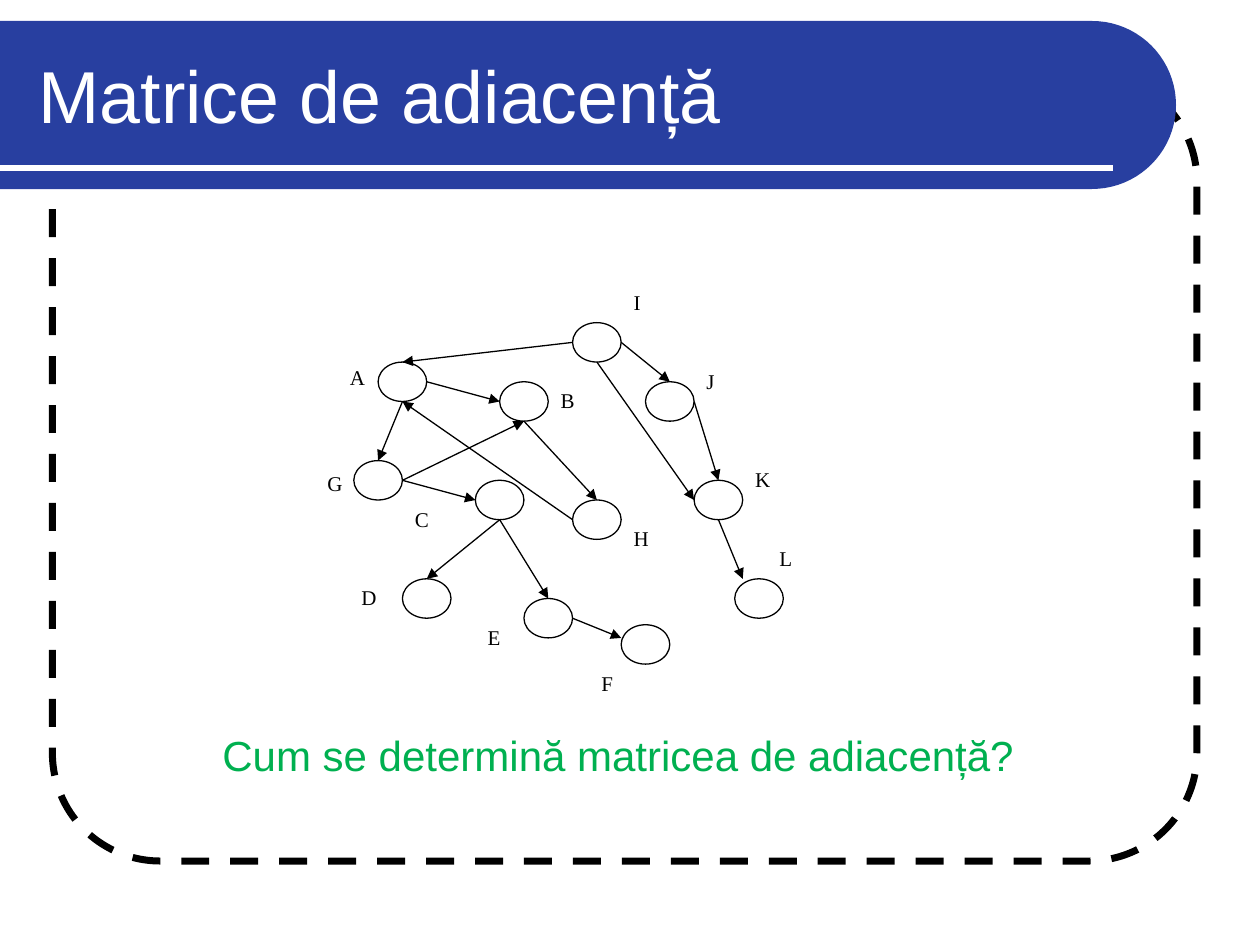
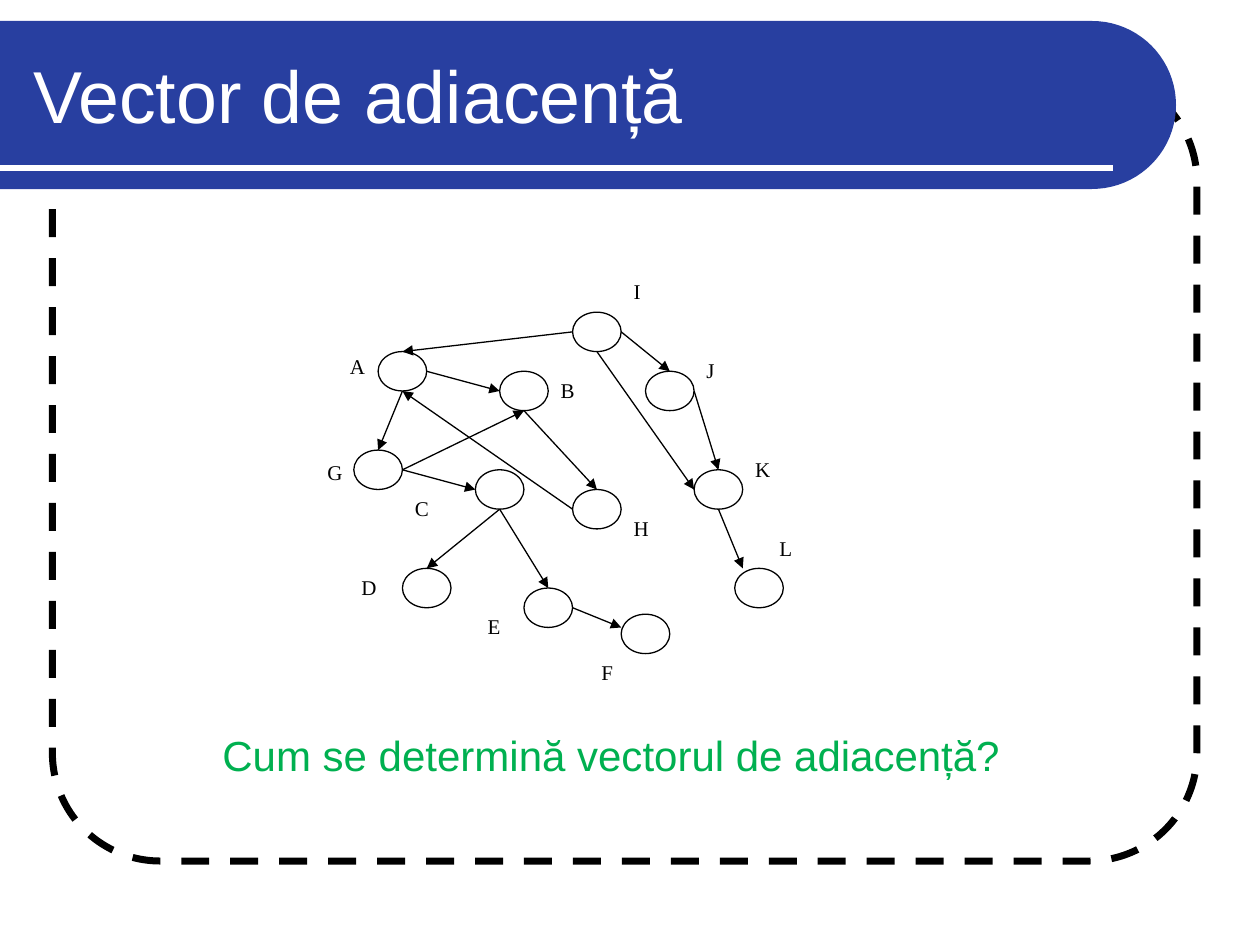
from dataclasses import dataclass
from math import cos, floor, pi, sin

from pptx import Presentation
from pptx.dml.color import RGBColor
from pptx.enum.dml import MSO_LINE
from pptx.enum.shapes import MSO_CONNECTOR, MSO_SHAPE
from pptx.enum.text import MSO_ANCHOR, MSO_AUTO_SIZE
from pptx.oxml.ns import qn
from pptx.util import Pt
from lxml.etree import SubElement


@dataclass(frozen=True)
class Theme:
    blue: RGBColor = RGBColor.from_string("283FA0")
    green: RGBColor = RGBColor.from_string("00B050")
    black: RGBColor = RGBColor.from_string("000000")
    white: RGBColor = RGBColor.from_string("FFFFFF")
    sans: str = "Arial"
    serif: str = "Times New Roman"
    head: float = 42
    ask: float = 24
    tag: float = 12
    thin: float = 0.75
    rule: float = 3
    edge: float = 4


LEFT, TOP = 202.2, 184.4
COL, ROW = 13.89, 11.26
NODES = {
    "A": (1, 2), "G": (0, 7), "B": (6, 3), "I": (9, 0),
    "C": (5, 8), "H": (9, 9), "J": (12, 3), "E": (7, 14),
    "K": (14, 8), "F": (11, 15.33), "L": (15.67, 13), "D": (2, 13),
}
SIDES = {"top": (1, 0), "left": (0, 1), "base": (1, 2), "right": (2, 1)}
EDGES = [
    ("A", "right", "B", "left"),
    ("A", "base", "G", "top"),
    ("I", "left", "A", "top"),
    ("G", "right", "C", "left"),
    ("G", "right", "B", "base"),
    ("B", "base", "H", "top"),
    ("H", "left", "A", "base"),
    ("I", "right", "J", "top"),
    ("I", "base", "K", "left"),
    ("J", "right", "K", "top"),
    ("C", "base", "E", "top"),
    ("C", "base", "D", "top"),
    ("E", "right", "F", "left"),
    ("K", "base", "L", "top"),
]
TAGS = {
    "A": (-0.67, 1.8, 1.8, 2.4), "G": (-1.6, 7.17, 1.87, 2.2),
    "C": (2, 9, 3, 2), "D": (-0.2, 13, 2.2, 2),
    "E": (5, 15, 3, 3), "F": (9.67, 17.33, 2, 2),
    "B": (8, 3, 3, 2), "H": (11, 10, 3, 2),
    "I": (11, -2, 2, 2), "J": (14, 2, 3, 3),
    "K": (16, 7, 3, 2), "L": (17, 11, 3, 3),
}
TALKS = [
    ("Matrice de adiacență", 15, "Cum se determină matricea de adiacență?", 0),
    ("Vector de adiacență", 12, "Cum se determină vectorul de adiacență?", -6),
]


def apply(item, **values):
    for name, value in values.items():
        setattr(item, name, value)


def spot(col, row, shift):
    return LEFT + col * COL, TOP + row * ROW + shift


class Deck:
    def __init__(self, theme):
        self.theme = theme
        self.deck = Presentation()
        apply(self.deck, slide_width=Pt(720), slide_height=Pt(540))

    def start(self):
        self.slide = self.deck.slides.add_slide(self.deck.slide_layouts[6])
        self.ungroup()

    def group(self):
        self.pen = self.slide.shapes.add_group_shape().shapes

    def ungroup(self):
        self.pen = self.slide.shapes

    def paint(self, shape, fill=None, line=None, width=0):
        shape.shadow.inherit = False
        if fill is None:
            shape.fill.background()
        else:
            shape.fill.solid()
            shape.fill.fore_color.rgb = fill
        if line is None:
            shape.line.fill.background()
        else:
            shape.line.color.rgb = line
            shape.line.width = Pt(width)

    def shape(self, kind, box, **look):
        shape = self.pen.add_shape(kind, *map(Pt, box))
        self.paint(shape, **look)
        return shape

    def line(self, start, end, color, width, arrow=False):
        line = self.pen.add_connector(MSO_CONNECTOR.STRAIGHT, *map(Pt, (*start, *end)))
        line.line.color.rgb = color
        line.line.width = Pt(width)
        props = line.element.spPr
        if arrow:
            SubElement(props.find(qn("a:ln")), qn("a:tailEnd"), type="triangle")
        SubElement(props, qn("a:effectLst"))

    def text(self, words, box, size, face, color, **frame):
        body = self.pen.add_textbox(*map(Pt, box)).text_frame
        apply(body, word_wrap=True, **frame)
        run = body.paragraphs[0].add_run()
        run.text = words
        apply(run.font, size=Pt(size), name=face)
        run.font.color.rgb = color

    def band(self):
        turns = [pi * (step / 40 - 0.5) for step in range(41)]
        curve = [(Pt(624 + 48 * cos(t)), Pt(60 + 48 * sin(t))) for t in turns]
        path = self.pen.build_freeform(0, Pt(12))
        path.add_line_segments([*curve, (0, Pt(108))], close=True)
        self.paint(path.convert_to_shape(), fill=self.theme.blue)

    def base(self, title, left):
        look = self.theme
        frame = self.shape(MSO_SHAPE.ROUNDED_RECTANGLE, (30, 42, 654, 450),
                           line=look.black, width=look.edge)
        frame.adjustments[0] = 0.137
        frame.line.dash_style = MSO_LINE.DASH
        self.band()
        self.line((0, 96), (636, 96), look.white, look.rule)
        self.text(title, (left, 18, 631.5, 72), look.head, look.sans, look.white,
                  vertical_anchor=MSO_ANCHOR.MIDDLE)

    def graph(self, shift):
        look = self.theme
        self.group()
        for col, row in NODES.values():
            self.shape(MSO_SHAPE.OVAL, (*spot(col, row, shift), 2 * COL, 2 * ROW),
                       fill=look.white, line=look.black, width=look.thin)
        for tail, out, head, side in EDGES:
            ends = [
                spot(*(floor(n + d) for n, d in zip(NODES[node], SIDES[part])), shift)
                for node, part in ((tail, out), (head, side))
            ]
            self.line(*ends, look.black, look.thin, arrow=True)
        for name, (col, row, wide, high) in TAGS.items():
            self.text(name, (*spot(col, row, shift), wide * COL, high * ROW),
                      look.tag, look.serif, look.black)
        self.ungroup()

    def ask(self, words):
        look = self.theme
        self.text(words, (120, 413.3, 480, 36), look.ask, look.sans, look.green,
                  auto_size=MSO_AUTO_SIZE.SHAPE_TO_FIT_TEXT)


def main():
    show = Deck(Theme())
    for title, left, query, shift in TALKS:
        show.start()
        show.base(title, left)
        show.graph(shift)
        show.ask(query)
    show.deck.save("out.pptx")


if __name__ == "__main__":
    main()
